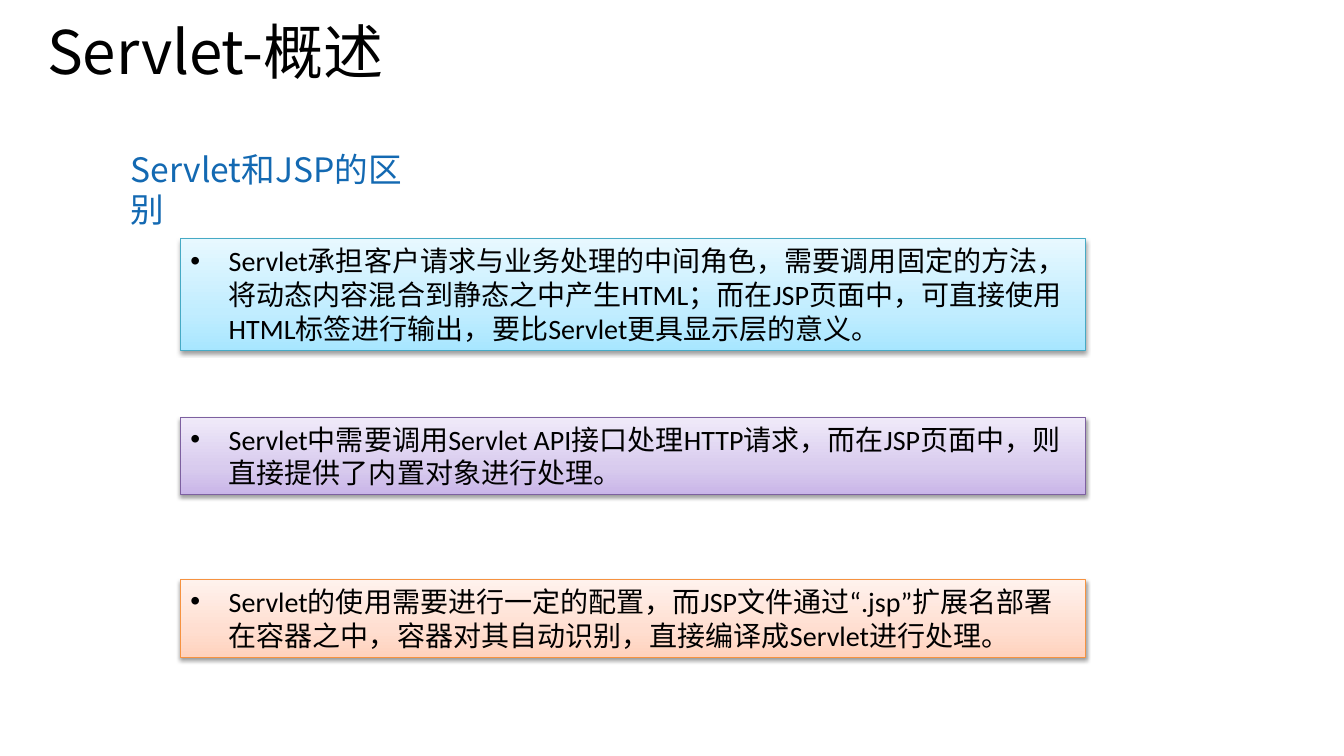
from dataclasses import dataclass

from lxml import etree
from pptx import Presentation
from pptx.dml.color import RGBColor
from pptx.enum.shapes import MSO_SHAPE
from pptx.enum.text import MSO_ANCHOR, PP_ALIGN
from pptx.oxml import parse_xml
from pptx.oxml.ns import nsdecls, qn
from pptx.shapes.autoshape import Shape
from pptx.slide import Slide
from pptx.text.text import _Paragraph
from pptx.util import Inches, Pt

RECTANGLE = MSO_SHAPE.RECTANGLE
TOP, MIDDLE = MSO_ANCHOR.TOP, MSO_ANCHOR.MIDDLE
LEFT = PP_ALIGN.LEFT


@dataclass(frozen=True)
class Theme:
    """Colours, fonts and type sizes of the slide."""

    black: str = "000000"
    blue: str = "1369B2"
    heading_font: str = "Noto Sans CJK SC"
    body_font: str = "Calibri"
    title_size: float = 42.9
    subtitle_size: float = 24
    body_size: float = 20


@dataclass(frozen=True)
class Heading:
    """A line of heading text."""

    text: str
    left: float
    top: float
    width: float
    height: float
    size: float
    color: str
    anchor: MSO_ANCHOR
    line_spacing: float


@dataclass(frozen=True)
class Point:
    """A coloured box holding one difference."""

    text: str
    top: float
    height: float
    gradient: tuple[str, str, str]
    line: str


THEME = Theme()
POINT_LEFT, POINT_WIDTH, BULLET_INDENT = 1.79, 8.98, 0.38
GRADIENT_POSITIONS = (0, 35, 100)
HEADINGS = (
    Heading("Servlet-概述", 0.37, 0.16, 5.69, 0.78,
            THEME.title_size, THEME.black, MIDDLE, 0.9),
    Heading("Servlet和JSP的区别", 1.2, 1.43, 3.19, 0.5,
            THEME.subtitle_size, THEME.blue, TOP, 1.0),
)
POINTS = (
    Point("Servlet承担客户请求与业务处理的中间角色，需要调用固定的方法，"
          "将动态内容混合到静态之中产生HTML；而在JSP页面中，可直接使用HTML标签进行输出，"
          "要比Servlet更具显示层的意义。",
          2.37, 1.11, ("A7E6FF", "C1EDFF", "E7F8FF"), "46AAC5"),
    Point("Servlet中需要调用Servlet API接口处理HTTP请求，而在JSP页面中，"
          "则直接提供了内置对象进行处理。",
          4.14, 0.77, ("C9B5E8", "D8CBEE", "F0EAF9"), "7D60A0"),
    Point("Servlet的使用需要进行一定的配置，而JSP文件通过“.jsp”扩展名部署在容器之中，"
          "容器对其自动识别，直接编译成Servlet进行处理。",
          5.75, 0.77, ("FFD2BD", "FFDED0", "FFF2ED"), "F69240"),
)


def format_text(para: _Paragraph, font: str, size: float, color: str) -> None:
    """Apply one font, size and colour to a paragraph's runs."""
    for span in para.runs:
        span.font.name = font
        span.font.size = Pt(size)
        span.font.color.rgb = RGBColor.from_string(color)
        east_asian = etree.SubElement(span.font._element, qn("a:ea"))
        east_asian.set("typeface", font)


def add_bullet(para: _Paragraph) -> None:
    """Give a paragraph a hanging round bullet."""
    properties = para._p.get_or_add_pPr()
    properties.set("marL", str(Inches(BULLET_INDENT)))
    properties.set("indent", str(-Inches(BULLET_INDENT)))
    etree.SubElement(properties, qn("a:buFont")).set("typeface", "Arial")
    etree.SubElement(properties, qn("a:buChar")).set("char", "•")


def fill_gradient(box: Shape, colors: tuple[str, str, str]) -> None:
    """Fill a box with three colours running from bottom to top."""
    box.fill.gradient()
    box.fill.gradient_angle = 90
    stops = box._element.spPr.find(qn("a:gradFill")).find(qn("a:gsLst"))
    for stop in list(stops):
        stops.remove(stop)
    for position, color in zip(GRADIENT_POSITIONS, colors):
        stop = etree.SubElement(stops, qn("a:gs"), pos=str(position * 1000))
        etree.SubElement(stop, qn("a:srgbClr"), val=color)


def add_shadow(box: Shape) -> None:
    """Cast a soft shadow straight below a box."""
    box.shadow.inherit = False
    effects = box._element.spPr.find(qn("a:effectLst"))
    effects.append(parse_xml(
        f'<a:outerShdw {nsdecls("a")} blurRad="{Pt(3.1)}" dist="{Pt(1.6)}" '
        f'dir="5400000" rotWithShape="0"><a:srgbClr val="{THEME.black}">'
        '<a:alpha val="38000"/></a:srgbClr></a:outerShdw>'))


def add_heading(page: Slide, heading: Heading) -> None:
    """Draw a heading as a text box."""
    box = page.shapes.add_textbox(Inches(heading.left), Inches(heading.top),
                                  Inches(heading.width), Inches(heading.height))
    frame = box.text_frame
    frame.text = heading.text
    frame.word_wrap = True
    frame.vertical_anchor = heading.anchor
    para = frame.paragraphs[0]
    para.line_spacing = heading.line_spacing
    format_text(para, THEME.heading_font, heading.size, heading.color)


def add_point(page: Slide, point: Point) -> None:
    """Draw a point as a shaded box with a bullet."""
    box = page.shapes.add_shape(RECTANGLE, Inches(POINT_LEFT), Inches(point.top),
                                Inches(POINT_WIDTH), Inches(point.height))
    fill_gradient(box, point.gradient)
    box.line.color.rgb = RGBColor.from_string(point.line)
    box.line.width = Pt(0.75)
    add_shadow(box)
    frame = box.text_frame
    frame.text = point.text
    frame.word_wrap = True
    frame.vertical_anchor = TOP
    para = frame.paragraphs[0]
    para.alignment = LEFT
    add_bullet(para)
    format_text(para, THEME.body_font, THEME.body_size, THEME.black)


def main() -> None:
    """Build the slide and save the deck."""
    deck = Presentation()
    deck.slide_width, deck.slide_height = Inches(13.33), Inches(7.5)
    page = deck.slides.add_slide(deck.slide_layouts[6])
    for point in POINTS:
        add_point(page, point)
    for heading in HEADINGS:
        add_heading(page, heading)
    deck.save("out.pptx")


if __name__ == "__main__":
    main()
